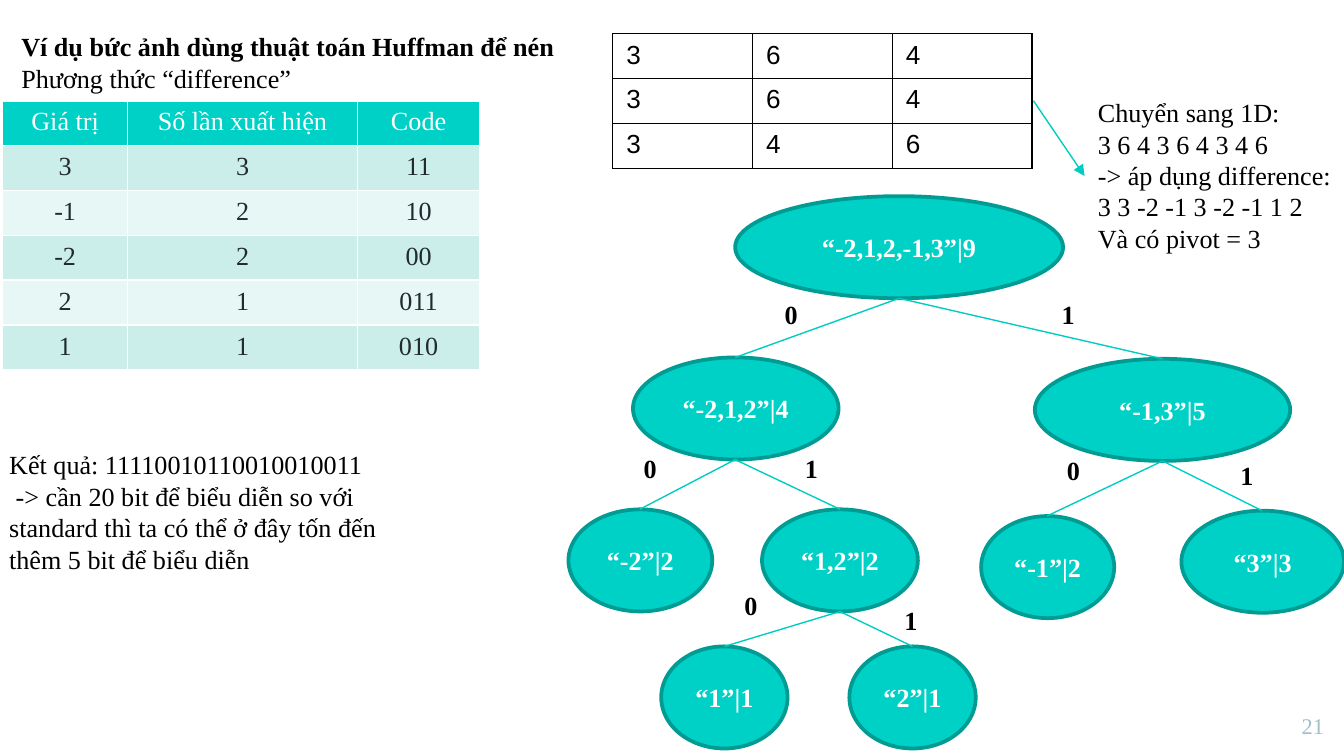
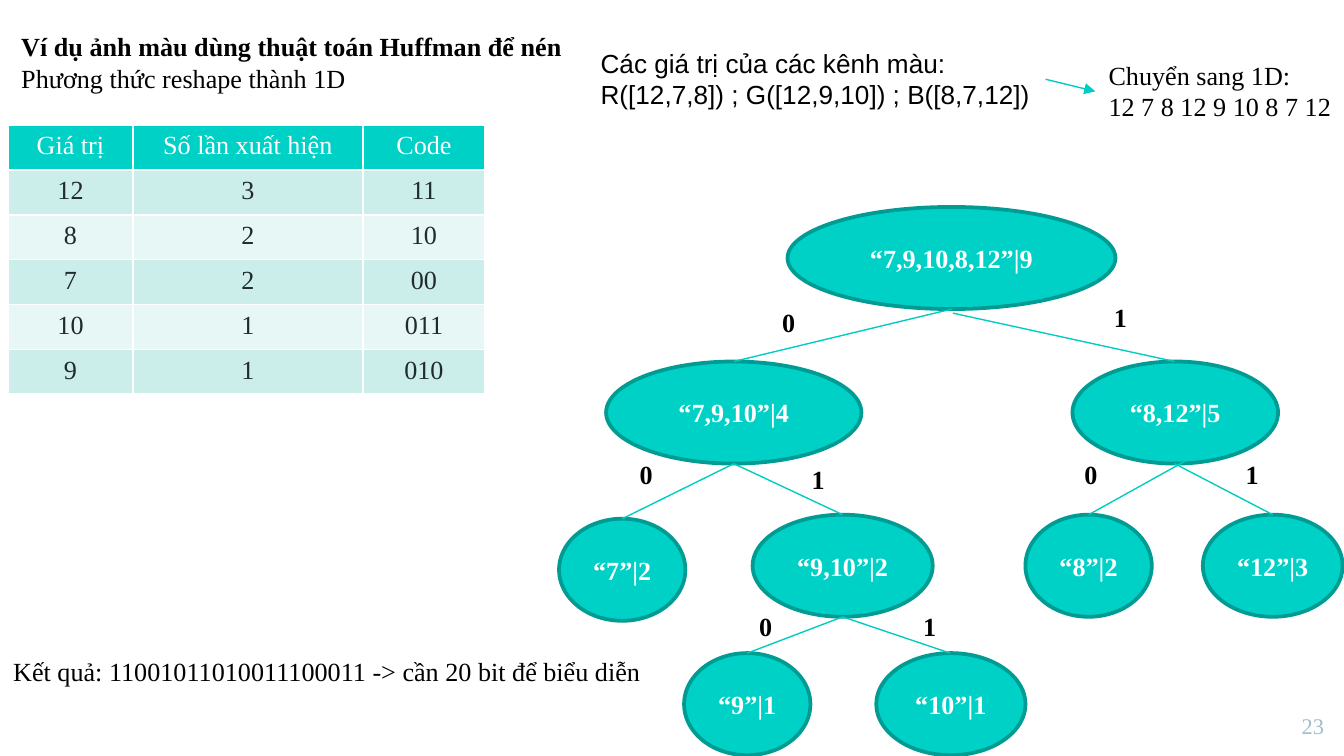
from dataclasses import dataclass
from typing import Optional

from lxml.etree import SubElement
from pptx import Presentation
from pptx.dml.color import RGBColor
from pptx.enum.shapes import MSO_CONNECTOR, MSO_SHAPE
from pptx.enum.text import MSO_ANCHOR, MSO_AUTO_SIZE, PP_ALIGN
from pptx.oxml.ns import qn
from pptx.util import Pt

PX = 9144
SLIDE_WIDTH = 1000
NODE_HEIGHT = 76


@dataclass(frozen=True)
class Theme:
    serif: str = "Times New Roman"
    sans: str = "Arial"
    body: int = 14
    footer: int = 12
    ink: str = "000000"
    white: str = "FFFFFF"
    accent: str = "00D1C6"
    outline: str = "009B92"
    edge: str = "00CCC2"
    cell_ink: str = "212A2E"
    bands: tuple = ("CCEEEA", "E7F7F5")
    page_number: str = "A1BECC"


THEME = Theme()


@dataclass
class Node:
    label: str
    left: int
    top: int
    width: int
    bit_at: Optional[tuple] = None
    children: tuple = ()
    edge_from: Optional[tuple] = None

    @property
    def center(self):
        return self.left + self.width // 2

    @property
    def bottom(self):
        return self.top + NODE_HEIGHT


def px(*lengths):
    return [length * PX for length in lengths]


def rgb(color):
    return RGBColor.from_string(color)


def write(frame, text, *, font=THEME.serif, size=THEME.body, color=THEME.ink,
          bold=False, bold_first=False, align=PP_ALIGN.LEFT):
    for number, line in enumerate(text.split("\n")):
        paragraph = frame.add_paragraph() if number else frame.paragraphs[0]
        paragraph.alignment = align
        run = paragraph.add_run()
        run.text = line
        run.font.name = font
        run.font.size = Pt(size)
        run.font.color.rgb = rgb(color)
        run.font.bold = bold or (bold_first and number == 0)


def set_borders(cell, color, width):
    properties = cell._tc.get_or_add_tcPr()
    for position, side in enumerate(("lnL", "lnR", "lnT", "lnB")):
        border = properties.makeelement(qn(f"a:{side}"), {"w": str(Pt(width))})
        fill = SubElement(border, qn("a:solidFill"))
        SubElement(fill, qn("a:srgbClr"), val=color)
        properties.insert(position, border)


class Deck:
    def __init__(self, theme):
        self.theme = theme
        self.presentation = Presentation()
        self.presentation.slide_width = SLIDE_WIDTH * PX
        self.presentation.slide_height = SLIDE_WIDTH * PX * 9 // 16
        self.slide = None

    def new_slide(self, title, method, page, title_width):
        self.slide = self.presentation.slides.add_slide(
            self.presentation.slide_layouts[6])
        self.text(f"{title}\n{method}", 6, 18, title_width, 57, wrap=False,
                  bold_first=True)
        self.text(page, 944, 520, 51, 43, inset=10, grow=False,
                  size=self.theme.footer, color=self.theme.page_number,
                  align=PP_ALIGN.RIGHT)

    def text(self, text, left, top, width, height, *, wrap=True, grow=True,
             inset=5, **style):
        frame = self.slide.shapes.add_textbox(*px(left, top, width, height)).text_frame
        frame.word_wrap = wrap
        frame.auto_size = (MSO_AUTO_SIZE.SHAPE_TO_FIT_TEXT if grow
                           else MSO_AUTO_SIZE.NONE)
        frame.margin_top, frame.margin_bottom = px(inset, inset)
        write(frame, text, **style)

    def line(self, start, end, arrow=False):
        connector = self.slide.shapes.add_connector(
            MSO_CONNECTOR.STRAIGHT, *px(*start, *end))
        connector.line.color.rgb = rgb(self.theme.edge)
        connector.line.width = Pt(0.75)
        if arrow:
            SubElement(connector.line._get_or_add_ln(), qn("a:tailEnd"), type="triangle")
        SubElement(connector._element.spPr, qn("a:effectLst"))

    def ellipse(self, node):
        shape = self.slide.shapes.add_shape(
            MSO_SHAPE.OVAL, *px(node.left, node.top, node.width, NODE_HEIGHT))
        shape.shadow.inherit = False
        shape.fill.solid()
        shape.fill.fore_color.rgb = rgb(self.theme.accent)
        shape.line.color.rgb = rgb(self.theme.outline)
        shape.line.width = Pt(2)
        shape.text_frame.word_wrap = False
        shape.text_frame.vertical_anchor = MSO_ANCHOR.MIDDLE
        write(shape.text_frame, node.label, color=self.theme.white, bold=True,
              align=PP_ALIGN.CENTER)

    def tree(self, node):
        self.ellipse(node)
        for bit, child in enumerate(node.children):
            self.tree(child)
            self.line(child.edge_from or (node.center, node.bottom),
                      (child.center, child.top))
            self.text(str(bit), *child.bit_at, 32, 34, bold=True)

    def table(self, rows, left, top, widths, height):
        table = self.slide.shapes.add_table(
            len(rows), len(widths), *px(left, top, sum(widths), height)).table
        table.first_row = table.horz_banding = False
        for column, width in zip(table.columns, widths):
            column.width = width * PX
        for row in table.rows:
            row.height = height * PX // len(rows)
        return [(r, table.cell(r, c), value)
                for r, row in enumerate(rows) for c, value in enumerate(row)]

    def code_table(self, codes, left, top):
        rows = [("Giá trị", "Số lần xuất hiện", "Code"), *codes]
        for r, cell, value in self.table(rows, left, top, (93, 171, 91), 200):
            header = r == 0
            cell.fill.solid()
            cell.fill.fore_color.rgb = rgb(
                self.theme.accent if header else self.theme.bands[(r - 1) % 2])
            set_borders(cell, self.theme.white, 1)
            write(cell.text_frame, value, align=PP_ALIGN.CENTER,
                  color=self.theme.white if header else self.theme.cell_ink)

    def pixel_grid(self, rows, left, top):
        for _, cell, value in self.table(rows, left, top, (104, 104, 104), 100):
            cell.fill.background()
            set_borders(cell, self.theme.ink, 0.75)
            write(cell.text_frame, value, font=self.theme.sans)


def difference_slide(deck):
    deck.new_slide("Ví dụ bức ảnh dùng thuật toán Huffman để nén",
                   "Phương thức “difference”", "21", 419)
    deck.code_table([("3", "3", "11"), ("-1", "2", "10"), ("-2", "2", "00"),
                     ("2", "1", "011"), ("1", "1", "010")], 2, 75)
    deck.pixel_grid(["364", "364", "346"], 456, 25)
    deck.line((769, 75), (807, 131), arrow=True)
    deck.text("Chuyển sang 1D:\n3 6 4 3 6 4 3 4 6\n-> áp dụng difference:\n"
              "3 3 -2 -1 3 -2 -1 1 2\nVà có pivot = 3", 807, 67, 195, 128, wrap=False)
    deck.text("Kết quả: 11110010110010010011\n -> cần 20 bit để biểu diễn so với "
              "standard thì ta có thể ở đây tốn đến thêm 5 bit để biểu diễn",
              -3, 329, 310, 104)
    deck.tree(Node("“-2,1,2,-1,3”|9", 547, 146, 244, children=(
        Node("“-2,1,2”|4", 471, 266, 153, (574, 217), (
            Node("“-2”|2", 423, 379, 107, (469, 332)),
            Node("“1,2”|2", 567, 379, 116, (589, 332), (
                Node("“1”|1", 492, 481, 94, (544, 434)),
                Node("“2”|1", 632, 481, 94, (663, 445)))))),
        Node("“-1,3”|5", 770, 267, 190, (780, 217), (
            Node("“-1”|2", 730, 384, 99, (784, 333)),
            Node("“3”|3", 879, 380, 121, (913, 337)))))))


def reshape_slide(deck):
    deck.new_slide("Ví dụ ảnh màu dùng thuật toán Huffman để nén",
                   "Phương thức reshape thành 1D", "23", 426)
    deck.code_table([("12", "3", "11"), ("8", "2", "10"), ("7", "2", "00"),
                     ("10", "1", "011"), ("9", "1", "010")], 6, 93)
    deck.text("Các giá trị của các kênh màu:\n"
              "R([12,7,8]) ; G([12,9,10]) ; B([8,7,12])", 437, 30, 341, 57,
              wrap=False, font=deck.theme.sans)
    deck.line((778, 59), (815, 68), arrow=True)
    deck.text("Chuyển sang 1D:\n12 7 8 12 9 10 8 7 12", 815, 39, 187, 57, wrap=False)
    deck.text("Kết quả: 11001011010011100011 -> cần 20 bit để biểu diễn",
              0, 483, 494, 34, wrap=False)
    deck.tree(Node("“7,9,10,8,12”|9", 586, 154, 244, children=(
        Node("“7,9,10”|4", 451, 269, 190, (572, 223), (
            Node("“7”|2", 416, 386, 94, (466, 336)),
            Node("“9,10”|2", 560, 383, 134, (594, 340), (
                Node("“9”|1", 509, 486, 94, (555, 449)),
                Node("“10”|1", 652, 486, 111, (677, 449)))))),
        Node("“8,12”|5", 798, 269, 153, (819, 219), (
            Node("“8”|2", 763, 383, 94, (797, 336), edge_from=(882, 343)),
            Node("“12”|3", 895, 383, 104, (917, 336))), edge_from=(709, 233)))))


def main():
    deck = Deck(THEME)
    difference_slide(deck)
    reshape_slide(deck)
    deck.presentation.save("out.pptx")


if __name__ == "__main__":
    main()
